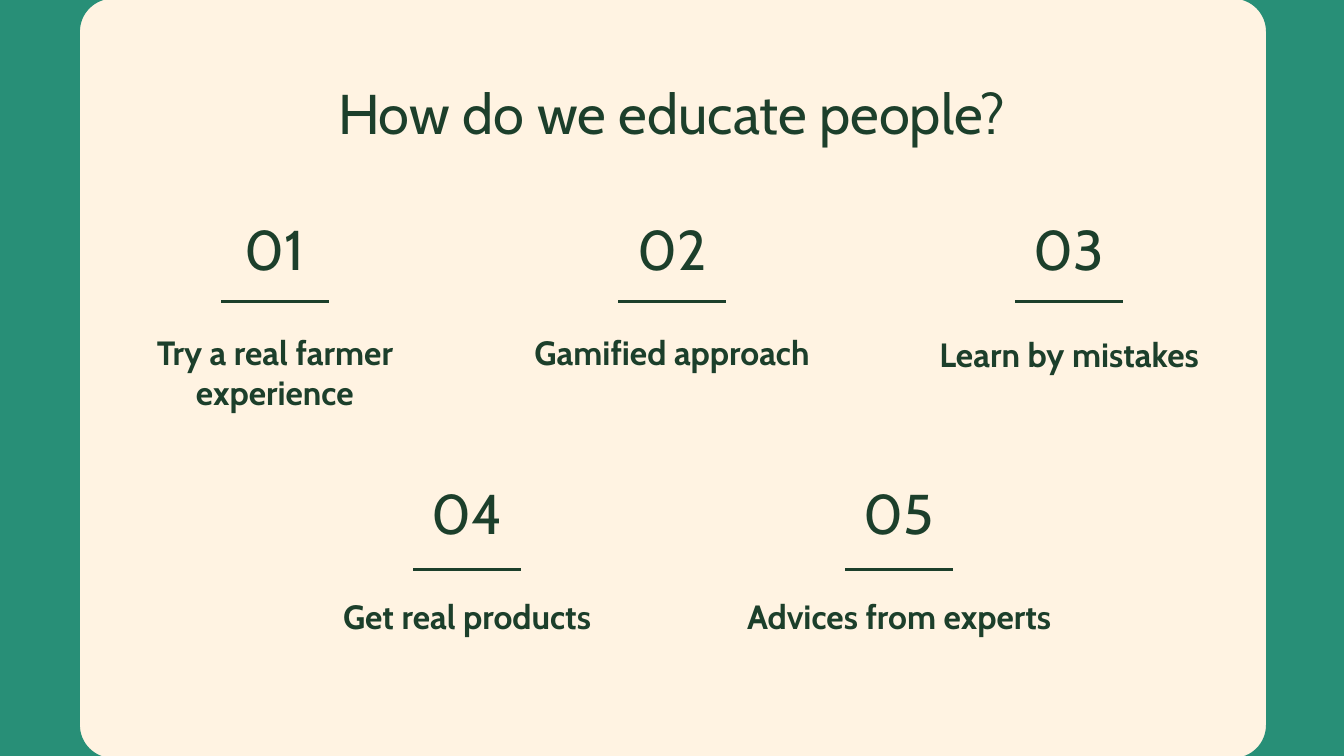
from math import cos, pi, sin

from pptx import Presentation
from pptx.dml.color import RGBColor
from pptx.enum.shapes import MSO_CONNECTOR
from pptx.enum.text import MSO_ANCHOR, PP_ALIGN
from pptx.oxml.ns import qn
from pptx.util import Pt

PX = 4572
CREAM, GREEN, DARK = "FFF3E2", "288F77", "1C3F2B"


def rgb(value):
    return RGBColor.from_string(value)


def add_text(text, x, y, w, h, size, bold=False, anchor=MSO_ANCHOR.TOP):
    tf = s.shapes.add_textbox(x * PX, y * PX, w * PX, h * PX).text_frame
    tf.word_wrap = True
    tf.vertical_anchor = anchor
    tf.margin_left = tf.margin_right = tf.margin_top = tf.margin_bottom = 20 * PX
    tf.text = text
    p = tf.paragraphs[0]
    p.alignment = PP_ALIGN.CENTER
    font = p.runs[0].font
    font.name = "Cabin"
    font.size = Pt(size)
    font.bold = bold
    font.color.rgb = rgb(DARK)


prs = Presentation()
prs.slide_width = 2000 * PX
prs.slide_height = 1125 * PX
s = prs.slides.add_slide(prs.slide_layouts[6])
s.background.fill.solid()
s.background.fill.fore_color.rgb = rgb(CREAM)

top, bottom, radius, inner = -2, 1128, 49, 119
angles = [i * pi / 32 for i in range(17)]
lower = [(inner + radius * (1 - sin(a)), bottom - radius * (1 - cos(a))) for a in angles]
upper = [(x, top + bottom - y) for x, y in reversed(lower)]
outline = [(0, top), (0, bottom)] + lower + upper

for origin, direction in ((0, 1), (2003, -1)):
    points = [((origin + direction * x) * PX, y * PX) for x, y in outline]
    builder = s.shapes.build_freeform(*points[0])
    builder.add_line_segments(points[1:], close=True)
    panel = builder.convert_to_shape()
    panel.shadow.inherit = False
    panel.fill.solid()
    panel.fill.fore_color.rgb = rgb(GREEN)
    panel.line.fill.background()

add_text("How do we educate people?", 157, 97, 1686, 126, 30)

items = [
    ("Try a real farmer experience", 409, 320, 449, 474, 504),
    ("Gamified approach", 1000, 320, 449, 474, 504),
    ("Learn by mistakes", 1591, 320, 449, 477, 536),
    ("Get real products", 695, 713, 848, 867, 504),
    ("Advices from experts", 1338, 713, 848, 867, 504),
]
for number, (label, center, number_y, rule_y, label_y, width) in enumerate(items, 1):
    add_text(f"{number:02}", center - 80, number_y, 160, 98, 30, anchor=MSO_ANCHOR.MIDDLE)
    add_text(label, center - width // 2, label_y, width, 98, 18, bold=True)
    rule = s.shapes.add_connector(
        MSO_CONNECTOR.STRAIGHT,
        (center - 80) * PX, rule_y * PX, (center + 80) * PX, rule_y * PX,
    )
    rule.line.color.rgb = rgb(DARK)
    rule.line.width = Pt(1.5)
    sp_pr = rule._element.spPr
    sp_pr.append(sp_pr.makeelement(qn("a:effectLst"), {}))

prs.save("out.pptx")
